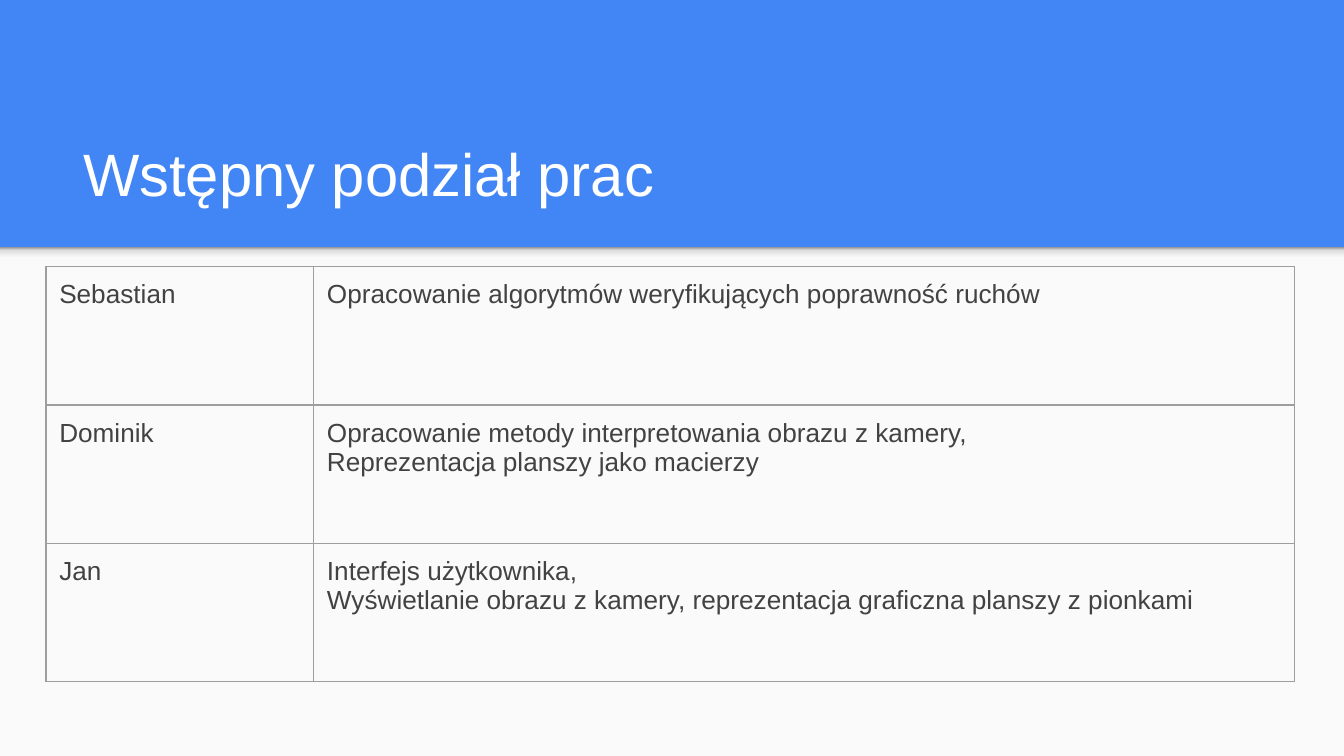
from dataclasses import dataclass

from lxml.etree import SubElement
from pptx import Presentation
from pptx.dml.color import RGBColor
from pptx.enum.shapes import MSO_SHAPE
from pptx.enum.text import MSO_ANCHOR, MSO_AUTO_SIZE, PP_ALIGN
from pptx.oxml import parse_xml
from pptx.oxml.ns import nsdecls, qn
from pptx.util import Cm, Pt


@dataclass(frozen=True)
class Theme:
    font: str = "Arial"
    title_size: int = 32
    body_size: int = 14
    header: str = "4285F4"
    panel: str = "FAFAFA"
    title: str = "FFFFFF"
    body: str = "424242"
    border: str = "9E9E9E"
    border_width: float = 0.75
    # Position in percent and colour, from the bottom edge upwards
    shade: tuple = ((0, "F9F9F9"), (36, "F9F9F9"), (80, "DEDEDE"), (100, "999999"))


theme = Theme()
INSET = Cm(0.25)


def add_text(paragraph, text, size, color):
    paragraph.alignment = PP_ALIGN.LEFT
    run = paragraph.add_run()
    run.text = text
    run.font.name = theme.font
    run.font.size = Pt(size)
    run.font.color.rgb = RGBColor.from_string(color)


def add_border(cell):
    properties = cell._tc.get_or_add_tcPr()
    for position, side in enumerate(("lnL", "lnR", "lnT", "lnB")):
        line = parse_xml(
            f'<a:{side} {nsdecls("a")} w="{Pt(theme.border_width)}"><a:solidFill>'
            f'<a:srgbClr val="{theme.border}"/></a:solidFill></a:{side}>'
        )
        properties.insert(position, line)


presentation = Presentation()
presentation.slide_width = Cm(25.4)
presentation.slide_height = Cm(14.28)
slide = presentation.slides.add_slide(presentation.slide_layouts[5])

# Blue background, light panel and the shade under the header
slide.background.fill.solid()
slide.background.fill.fore_color.rgb = RGBColor.from_string(theme.header)

header_height = Cm(4.67)
panel, shade = [
    slide.shapes.add_shape(
        MSO_SHAPE.RECTANGLE, 0, header_height, presentation.slide_width, height
    )
    for height in (presentation.slide_height - header_height, Cm(0.31))
]
for band in (panel, shade):
    band.shadow.inherit = False
    band.line.fill.background()

panel.fill.solid()
panel.fill.fore_color.rgb = RGBColor.from_string(theme.panel)

shade.fill.gradient()
shade.fill.gradient_angle = 90
stops = shade._element.spPr.find(qn("a:gradFill")).find(qn("a:gsLst"))
for stop in list(stops):
    stops.remove(stop)
for percent, color in theme.shade:
    stop = SubElement(stops, qn("a:gs"), pos=str(percent * 1000))
    SubElement(stop, qn("a:srgbClr"), val=color)

# Title
title = slide.shapes.title
title.left, title.top, title.width, title.height = Cm(1.32), Cm(2.06), Cm(22.83), Cm(2.13)
title_frame = title.text_frame
title_frame.auto_size = MSO_AUTO_SIZE.NONE
title_frame.word_wrap = True
title_frame.vertical_anchor = MSO_ANCHOR.BOTTOM
title_frame.margin_left = title_frame.margin_right = INSET
title_frame.margin_top = title_frame.margin_bottom = INSET
add_text(title_frame.paragraphs[0], "Wstępny podział prac", theme.title_size, theme.title)

# Division of work: person and tasks
assignments = [
    ("Sebastian", ["Opracowanie algorytmów weryfikujących poprawność ruchów"]),
    ("Dominik", [
        "Opracowanie metody interpretowania obrazu z kamery,",
        "Reprezentacja planszy jako macierzy",
    ]),
    ("Jan", [
        "Interfejs użytkownika,",
        "Wyświetlanie obrazu z kamery, reprezentacja graficzna planszy z pionkami",
    ]),
]
column_widths = [Cm(5.06), Cm(18.54)]
row_height = Cm(2.61)
work_table = slide.shapes.add_table(
    len(assignments), len(column_widths), Cm(0.87), Cm(5.04),
    sum(column_widths), row_height * len(assignments),
).table
work_table.first_row = False
work_table.horz_banding = False
for column, width in zip(work_table.columns, column_widths):
    column.width = width

for row, (person, tasks) in zip(work_table.rows, assignments):
    row.height = row_height
    for cell, lines in zip(row.cells, ([person], tasks)):
        cell.fill.background()
        cell.margin_left = cell.margin_right = INSET
        cell.margin_top = cell.margin_bottom = INSET
        add_border(cell)
        for number, line in enumerate(lines):
            frame = cell.text_frame
            paragraph = frame.add_paragraph() if number else frame.paragraphs[0]
            add_text(paragraph, line, theme.body_size, theme.body)

presentation.save("out.pptx")
